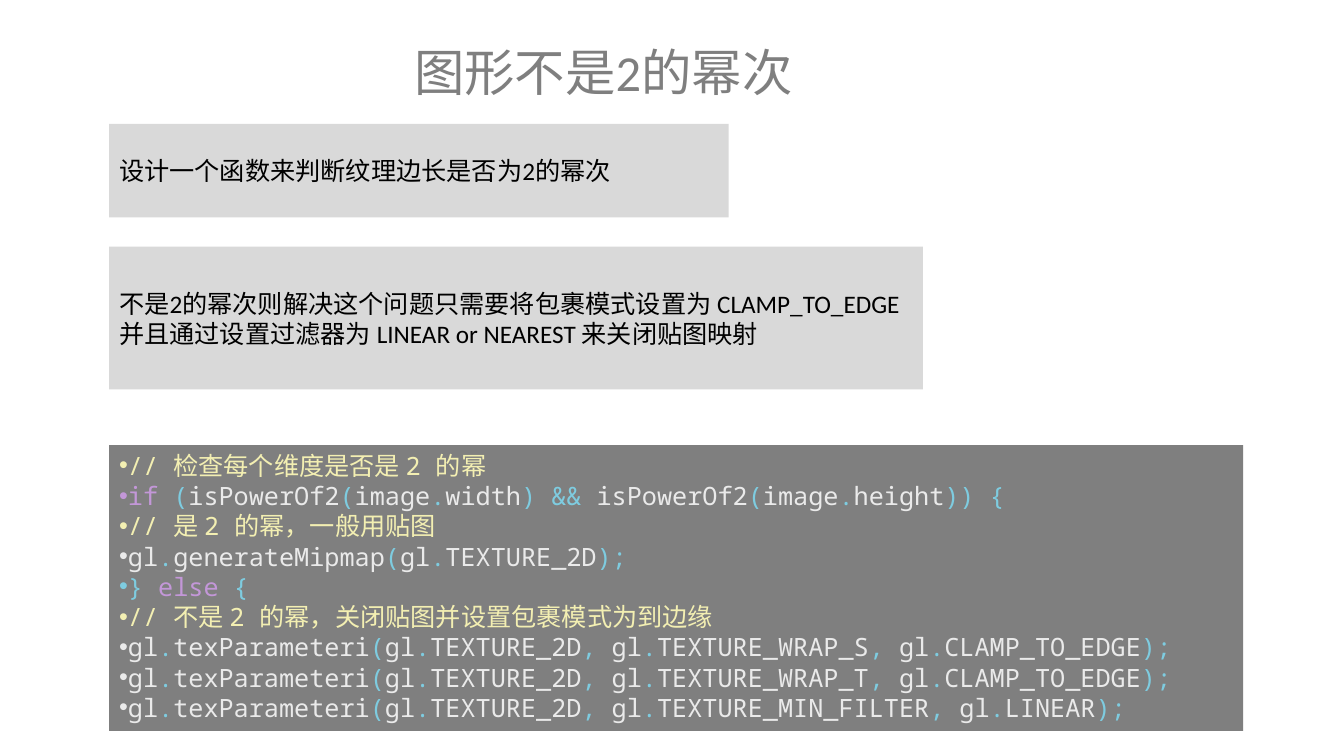
from dataclasses import dataclass
from itertools import groupby

from lxml import etree
from pptx import Presentation
from pptx.dml.color import RGBColor
from pptx.enum.shapes import MSO_SHAPE
from pptx.enum.text import MSO_ANCHOR, MSO_AUTO_SIZE, PP_ALIGN
from pptx.oxml.ns import qn
from pptx.util import Emu, Pt

RECT = MSO_SHAPE.RECTANGLE
TOP, MIDDLE = MSO_ANCHOR.TOP, MSO_ANCHOR.MIDDLE
LEFT = PP_ALIGN.LEFT
GROW = MSO_AUTO_SIZE.SHAPE_TO_FIT_TEXT
PX = 9525  # EMU per px, 96 px to the inch


@dataclass(frozen=True)
class Theme:
    sans: str = "Calibri"
    mono: str = "Noto Sans Mono"
    dot: str = "Arial"
    title: int = 36
    body: int = 18
    gray: str = "7F7F7F"
    pale: str = "D9D9D9"
    ink: str = "000000"
    note: str = "F3EFB2"
    key: str = "C397D8"
    mark: str = "7ECCE0"
    name: str = "EAEAEA"


@dataclass(frozen=True)
class Panel:
    top: int
    width: int
    height: int
    fill: str
    anchor: MSO_ANCHOR
    text: str


THEME = Theme()
EDGE = 104  # left edge shared by all panels

NOTES = [
    Panel(118, 590, 89, THEME.pale, MIDDLE,
          "设计一个函数来判断纹理边长是否为2的幂次"),
    Panel(235, 775, 136, THEME.pale, MIDDLE,
          "不是2的幂次则解决这个问题只需要将包裹模式设置为 CLAMP_TO_EDGE "
          "并且通过设置过滤器为 LINEAR or NEAREST 来关闭贴图映射"),
]

CODE = Panel(424, 1080, 272, THEME.gray, TOP, """\
// 检查每个维度是否是 2 的幂
if (isPowerOf2(image.width) && isPowerOf2(image.height)) {
// 是 2 的幂，一般用贴图
gl.generateMipmap(gl.TEXTURE_2D);
} else {
// 不是 2 的幂，关闭贴图并设置包裹模式为到边缘
gl.texParameteri(gl.TEXTURE_2D, gl.TEXTURE_WRAP_S, gl.CLAMP_TO_EDGE);
gl.texParameteri(gl.TEXTURE_2D, gl.TEXTURE_WRAP_T, gl.CLAMP_TO_EDGE);
gl.texParameteri(gl.TEXTURE_2D, gl.TEXTURE_MIN_FILTER, gl.LINEAR);""")


def px(*sizes: int) -> list[Emu]:
    return [Emu(size * PX) for size in sizes]


def style(run, font: str, size: int, color: str) -> None:
    run.font.name = font
    run.font.size = Pt(size)
    run.font.color.rgb = RGBColor.from_string(color)


def is_word(char: str) -> bool:
    return char.isalnum() or char == "_"


def lex(line: str) -> list[tuple[str, str]]:
    """Split a code line into coloured parts."""
    if line.startswith("//"):
        return [(line, THEME.note)]
    parts = []
    for word, chars in groupby(line, is_word):
        text = "".join(chars)
        if text in ("if", "else"):
            color = THEME.key
        else:
            color = THEME.name if word else THEME.mark
        parts.append((text, color))
    return parts


def add_dot(para) -> None:
    props = para._p.get_or_add_pPr()
    props.set("marL", "0")
    props.set("indent", "0")
    etree.SubElement(props, qn("a:buFont")).set("typeface", THEME.dot)
    etree.SubElement(props, qn("a:buChar")).set("char", "•")


def add_panel(slide, panel: Panel):
    box = slide.shapes.add_shape(
        RECT, *px(EDGE, panel.top, panel.width, panel.height))
    box.shadow.inherit = False
    box.fill.solid()
    box.fill.fore_color.rgb = RGBColor.from_string(panel.fill)
    box.line.fill.background()
    frame = box.text_frame
    frame.word_wrap = True
    frame.vertical_anchor = panel.anchor
    return frame


def add_title(slide, text: str) -> None:
    frame = slide.shapes.add_textbox(*px(385, 34, 417, 68)).text_frame
    frame.word_wrap = True
    frame.auto_size = GROW
    frame.text = text
    style(frame.paragraphs[0].runs[0], THEME.sans, THEME.title, THEME.gray)


def add_note(slide, panel: Panel) -> None:
    frame = add_panel(slide, panel)
    frame.text = panel.text
    para = frame.paragraphs[0]
    para.alignment = LEFT
    style(para.runs[0], THEME.sans, THEME.body, THEME.ink)


def add_code(slide, panel: Panel) -> None:
    frame = add_panel(slide, panel)
    frame.auto_size = GROW
    for row, line in enumerate(panel.text.splitlines()):
        para = frame.add_paragraph() if row else frame.paragraphs[0]
        para.alignment = LEFT
        add_dot(para)
        for text, color in lex(line):
            run = para.add_run()
            run.text = text
            style(run, THEME.mono, THEME.body, color)


def main() -> None:
    deck = Presentation()
    deck.slide_width, deck.slide_height = px(1280, 720)
    slide = deck.slides.add_slide(deck.slide_layouts[6])

    # Heading
    add_title(slide, "图形不是2的幂次")

    # Explanations
    for note in NOTES:
        add_note(slide, note)

    # Code sample
    add_code(slide, CODE)

    deck.save("out.pptx")


if __name__ == "__main__":
    main()
